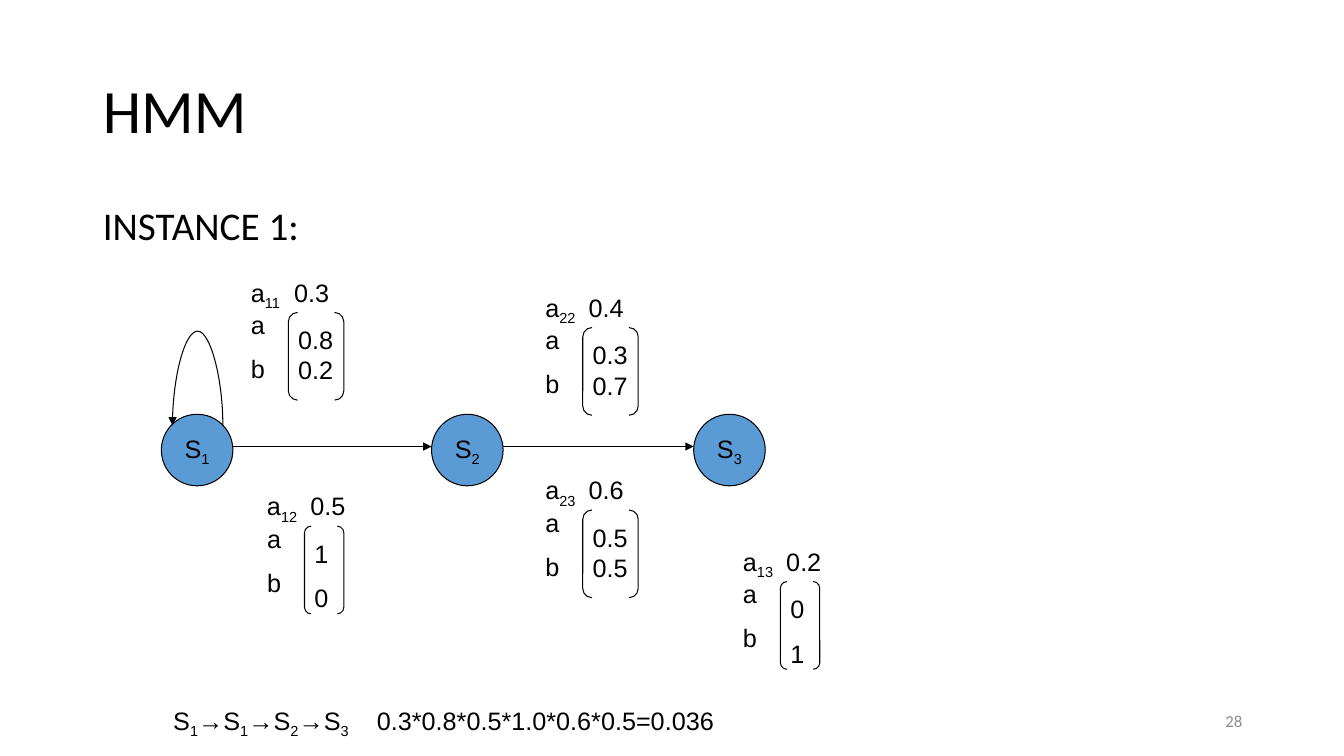
from pptx import Presentation
from pptx import util as u
from pptx.dml.color import RGBColor
from pptx.enum import shapes as s, text as t
from pptx.oxml.ns import qn
from lxml import etree

I = u.Inches


def rgb(code):
    return RGBColor.from_string(code)


def add(node, tag, **attrs):
    return etree.SubElement(node, qn(tag), attrs)


class Page:
    """Style and current slide."""
    ink, fill = "000000", "5B9BD5"
    font, head = "Arial", "Calibri"
    size = 18

    def __init__(self, deck):
        self.slide = deck.slides.add_slide(deck.slide_layouts[1])
        self.shapes = self.slide.shapes

    def style(self, par, size, font, color):
        par.font.size, par.font.name = u.Pt(size), font
        par.font.color.rgb = rgb(color)

    def label(self, par, words):
        """Fill a paragraph; parts between underscores are subscripts."""
        self.style(par, self.size, self.font, self.ink)
        for n, part in enumerate(words.split("_")):
            if part:
                run = par.add_run()
                run.text = part
                if n % 2:
                    run.font._element.set("baseline", "-25000")

    def holder(self, idx, box, words, size, anchor):
        item = self.slide.placeholders[idx]
        item.left, item.top, item.width, item.height = map(I, box)
        frame = item.text_frame
        frame.text, frame.vertical_anchor = words, anchor
        par = frame.paragraphs[0]
        par.alignment, par.line_spacing = t.PP_ALIGN.LEFT, 0.9
        self.style(par, size, self.head, self.ink)
        props = par._p.get_or_add_pPr()
        props.set("marL", "0")
        props.set("indent", "0")
        props.insert_element_before(etree.Element(qn("a:buNone")), "a:defRPr")

    def text(self, box, lines, gap=0, tab=None, home=None):
        item = (home or self.shapes).add_textbox(*map(I, box))
        frame = item.text_frame
        frame.word_wrap = True
        for n, words in enumerate(lines):
            par = frame.add_paragraph() if n else frame.paragraphs[0]
            self.label(par, words)
            if n:
                par.space_before = u.Pt(gap)
            if tab:
                props = par._p.get_or_add_pPr()
                stops = etree.Element(qn("a:tabLst"))
                props.insert_element_before(stops, "a:defRPr")
                add(stops, "a:tab", pos=str(I(tab)), algn="l")

    def number(self, box, words):
        frame = self.shapes.add_textbox(*map(I, box)).text_frame
        frame.word_wrap = True
        frame.text, frame.vertical_anchor = words, t.MSO_ANCHOR.MIDDLE
        par = frame.paragraphs[0]
        par.alignment = t.PP_ALIGN.RIGHT
        self.style(par, 12, self.head, "8C8C8C")

    def outline(self, item):
        item.line.color.rgb, item.line.width = rgb(self.ink), u.Pt(0.75)

    def state(self, x, y, side, words):
        item = self.shapes.add_shape(s.MSO_SHAPE.OVAL, I(x), I(y), I(side), I(side))
        item.shadow.inherit = False
        item.fill.solid()
        item.fill.fore_color.rgb = rgb(self.fill)
        self.outline(item)
        frame = item.text_frame
        frame.word_wrap, frame.vertical_anchor = False, t.MSO_ANCHOR.MIDDLE
        par = frame.paragraphs[0]
        par.alignment = t.PP_ALIGN.CENTER
        self.label(par, words)

    def arrow(self, kind, x1, y1, x2, y2):
        item = self.shapes.add_connector(kind, I(x1), I(y1), I(x2), I(y2))
        self.outline(item)
        add(item.line._get_or_add_ln(), "a:tailEnd", type="triangle")
        add(item._element.spPr, "a:effectLst")
        return item

    def loop(self, x, y, span, rise):
        """Curved arrow that leaves to the right of x and returns to its left."""
        item = self.arrow(s.MSO_CONNECTOR.CURVE, x, y - span / 2, x, y + span / 2)
        item.width = u.Emu(1588)
        frame = item._element.spPr.find(qn("a:xfrm"))
        for key, value in (("rot", "16200000"), ("flipH", "1"), ("flipV", "1")):
            frame.set(key, value)
        guides = item._element.spPr.find(qn("a:prstGeom")).find(qn("a:avLst"))
        bend = -round(I(rise) / item.width * 100000)
        add(guides, "a:gd", name="adj1", fmla=f"val {bend}")

    def odds(self, x, y, name, chance, pair):
        """Transition chance with its bracketed output chances for a and b."""
        home = self.shapes.add_group_shape().shapes
        wide = len(pair[0]) > 1
        width = 0.55 if wide else 0.39
        left = x + 0.47
        self.text((x, y, 1.34, 0.4), [f"a_{name}_\t{chance}"], tab=0.43, home=home)
        self.text((x, y + 0.32, 0.39, 0.86), "ab", gap=10, home=home)
        item = home.add_shape(s.MSO_SHAPE.DOUBLE_BRACKET,
                              I(left), I(y + 0.4), I(width), I(0.87))
        item.shadow.inherit = False
        item.fill.background()
        self.outline(item)
        self.text((left, y + 0.47, width + 0.08, 0.71 if wide else 0.86), pair,
                  gap=0 if wide else 10, home=home)


def main():
    deck = Presentation()
    deck.slide_width, deck.slide_height = I(13.33), I(7.5)
    page = Page(deck)
    page.holder(0, (0.92, 0.4, 11.5, 1.45), "HMM", 44, t.MSO_ANCHOR.MIDDLE)
    page.holder(1, (0.92, 2, 11.5, 4.76), "INSTANCE 1:", 28, t.MSO_ANCHOR.TOP)
    page.number((9.42, 6.95, 3, 0.4), "28")

    side, lefts = 0.71, (1.6, 4.28, 6.88)
    for n, x in enumerate(lefts, 1):
        page.state(x, 4.11, side, f"S_{n}_")
    for x, end in zip(lefts, lefts[1:]):
        page.arrow(s.MSO_CONNECTOR.STRAIGHT, x + side, 4.43, end, 4.43)
    page.loop(1.96, 4.22, 0.5, 1.03)

    for x, y, name, chance, pair in (
        (2.39, 2.7, "11", "0.3", ("0.8", "0.2")),
        (2.55, 4.82, "12", "0.5", ("1", "0")),
        (5.31, 4.66, "23", "0.6", ("0.5", "0.5")),
        (7.27, 5.37, "13", "0.2", ("0", "1")),
        (5.31, 2.85, "22", "0.4", ("0.3", "0.7")),
    ):
        page.odds(x, y, name, chance, pair)
    page.text((1.62, 6.95, 5.6, 0.4),
              ["S_1_→S_1_→S_2_→S_3_\t0.3*0.8*0.5*1.0*0.6*0.5=0.036"], tab=2.02)
    deck.save("out.pptx")


if __name__ == "__main__":
    main()
